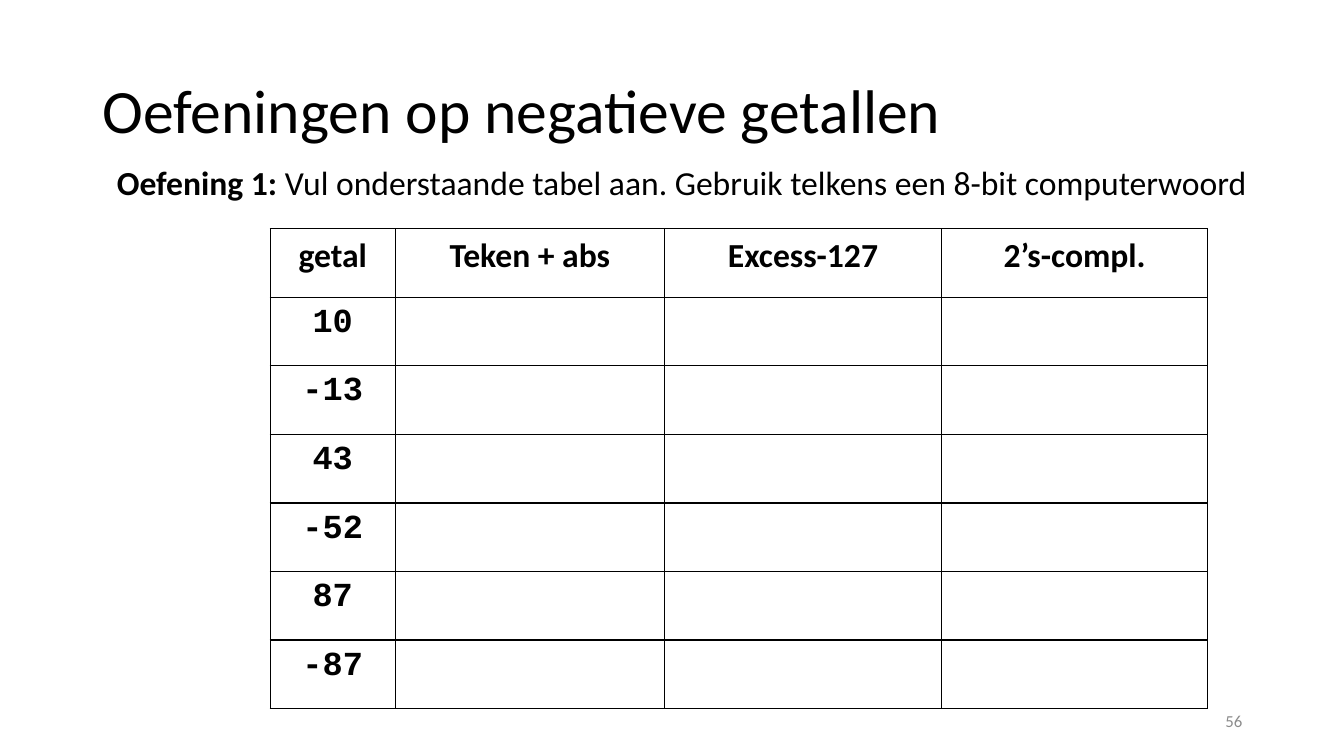
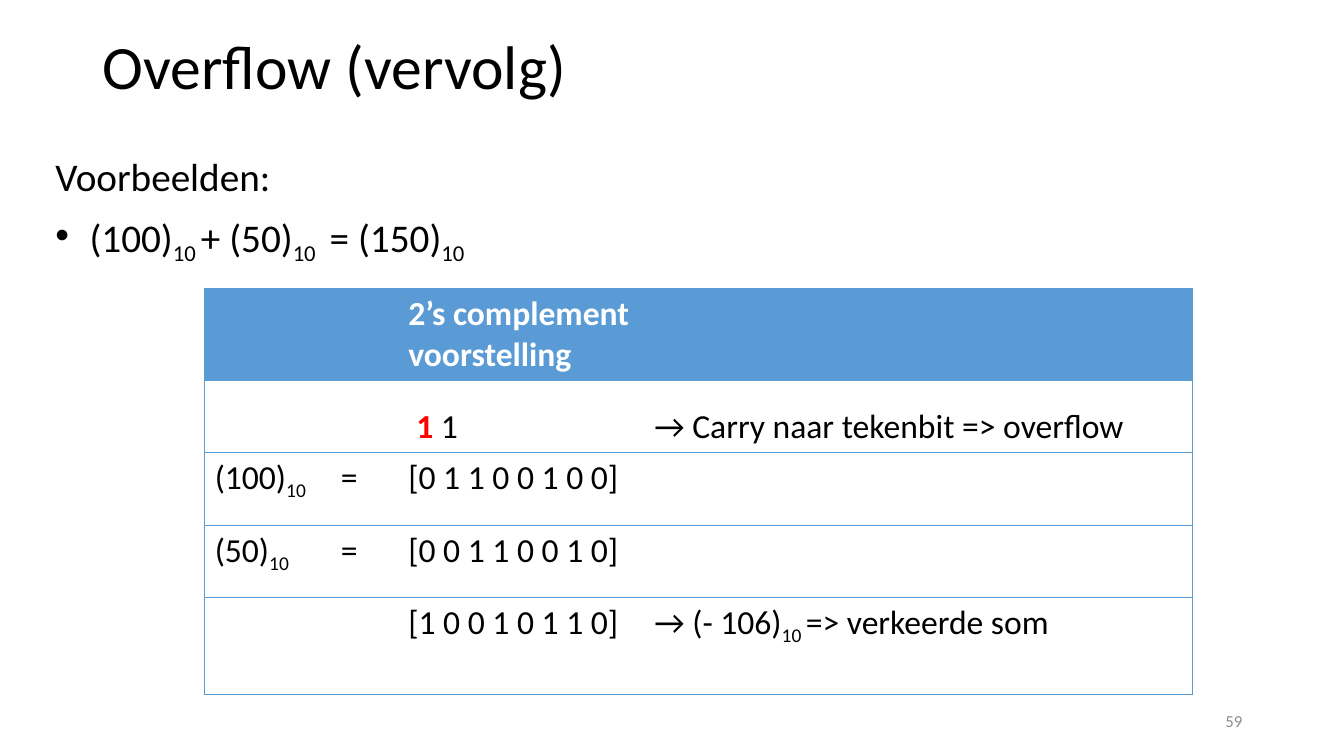
from lxml.etree import SubElement
from pptx import Presentation
from pptx.dml.color import RGBColor
from pptx.enum.text import MSO_ANCHOR as Anchor, PP_ALIGN as Align
from pptx.oxml.ns import qn
from pptx.util import Inches, Pt

COLORS = {
    "ink": "000000",
    "paper": "FFFFFF",
    "accent": "5B9BD5",
    "alert": "FF0000",
    "muted": "8C8C8C",
}
TITLE = {"size": Pt(44)}
BODY = {"size": Pt(28)}
CELL = {"size": Pt(24)}
HEADING = {"size": Pt(24), "bold": True}
NUMBER = {"size": Pt(24), "bold": True, "name": "Courier New"}
PAGE = {"size": Pt(12), "color": "muted"}
SUB = {"baseline": "-25000"}
TEN = ("10", SUB)
TEN_SPACED = ("10 ", SUB)
SIDES = {"left": "a:lnL", "right": "a:lnR", "top": "a:lnT", "bottom": "a:lnB"}


def set_all(target, values):
    for name, value in values.items():
        setattr(target, name, value)


def rgb(name):
    return RGBColor.from_string(COLORS[name])


def write(paragraph, pieces, look):
    for piece in pieces:
        text, extra = (piece, {}) if isinstance(piece, str) else piece
        style = {"name": "Calibri", "bold": False, "color": "ink", **look, **extra}
        run = paragraph.add_run()
        run.text = text
        run.font.color.rgb = rgb(style.pop("color"))
        baseline = style.pop("baseline", None)
        set_all(run.font, style)
        if baseline:
            run.font._element.set("baseline", baseline)


def add_bullet(paragraph, indent):
    properties = paragraph._p.get_or_add_pPr()
    properties.set("marL", str(Inches(indent)))
    properties.set("indent", str(-Inches(indent)))
    SubElement(properties, qn("a:buFont"), typeface="Arial")
    SubElement(properties, qn("a:buChar"), char="•")


def add_text(slide, place, lines, look, anchor=Anchor.TOP, **paragraph_format):
    frame = slide.shapes.add_textbox(*map(Inches, place)).text_frame
    set_all(frame, {"word_wrap": True, "vertical_anchor": anchor})
    for index, pieces in enumerate(lines):
        paragraph = frame.add_paragraph() if index else frame.paragraphs[0]
        set_all(paragraph, paragraph_format)
        if index:
            paragraph.space_before = Pt(10)
        write(paragraph, pieces, look)
    return frame


def add_slide(deck, title, title_top, page):
    slide = deck.slides.add_slide(deck.slide_layouts[6])
    add_text(slide, (0.92, title_top, 11.5, 1.45), [[title]], TITLE,
             Anchor.MIDDLE, line_spacing=0.9)
    add_text(slide, (9.42, 6.95, 3, 0.4), [[page]], PAGE,
             Anchor.MIDDLE, alignment=Align.RIGHT)
    return slide


def add_table(slide, left, top, widths, heights):
    table = slide.shapes.add_table(
        len(heights), len(widths), Inches(left), Inches(top),
        Inches(sum(widths)), Inches(sum(heights))).table
    set_all(table, {"first_row": False, "horz_banding": False})
    for column, width in zip(table.columns, widths):
        column.width = Inches(width)
    for row, height in zip(table.rows, heights):
        row.height = Inches(height)
    return table


def set_borders(cell, sides, color, points):
    properties = cell._tc.get_or_add_tcPr()
    for side, tag in SIDES.items():
        line = SubElement(properties, qn(tag), w=str(Pt(points)))
        if side in sides:
            fill = SubElement(line, qn("a:solidFill"))
            SubElement(fill, qn("a:srgbClr"), val=COLORS[color])
        else:
            SubElement(line, qn("a:noFill"))


def fill_cell(cell, pieces, look, fill=None, align=Align.LEFT, **cell_format):
    set_all(cell, cell_format)
    if fill:
        cell.fill.solid()
        cell.fill.fore_color.rgb = rgb(fill)
    else:
        cell.fill.background()
    paragraph = cell.text_frame.paragraphs[0]
    paragraph.alignment = align
    write(paragraph, pieces, look)


def add_exercise(deck):
    slide = add_slide(deck, "Oefeningen op negatieve getallen", 0.4, "56")
    task = [("Oefening 1: ", {"bold": True}),
            "Vul onderstaande tabel aan. Gebruik telkens een 8-bit computerwoord"]
    add_text(slide, (1.06, 1.6, 11.85, 0.55), [task], CELL, line_spacing=0.9)

    headings = ["getal", "Teken + abs", "Excess-127", "2’s-compl."]
    numbers = ["10", "-13", "43", "-52", "87", "-87"]
    rows = [headings] + [[number, "", "", ""] for number in numbers]
    margins = {"margin_left": Inches(0.13), "margin_right": Inches(0.13),
               "margin_top": Inches(0.07), "margin_bottom": Inches(0.07)}
    table = add_table(slide, 2.68, 2.27, [1.24, 2.67, 2.75, 2.64], [0.68] * len(rows))
    for r, row in enumerate(rows):
        for c, text in enumerate(row):
            cell = table.cell(r, c)
            set_borders(cell, SIDES, "ink", 1)
            fill_cell(cell, [text] if text else [], NUMBER if r else HEADING,
                      None if r else "paper", Align.CENTER, **margins)


def add_overflow(deck):
    slide = add_slide(deck, "Overflow (vervolg)", -0.04, "59")
    total = ["(100)", TEN_SPACED, "+ (50)", TEN_SPACED, " = (150)", TEN]
    examples = add_text(slide, (0.45, 1.51, 11.96, 1.3), [["Voorbeelden:"], total],
                        BODY, line_spacing=0.9)
    add_bullet(examples.paragraphs[1], 0.34)

    rows = [
        [[], [], ["2’s complement voorstelling"], []],
        [[], [], [("1", {"bold": True, "color": "alert"}), " 1"],
         ["→ Carry naar tekenbit => overflow"]],
        [["(100)", TEN], ["="], ["[0 1 1 0 0 1 0 0]"], []],
        [["(50)", TEN], ["="], ["[0 0 1 1 0 0 1 0]"], []],
        [[], [], ["[1 0 0 1 0 1 1 0]"],
         ["→ (- 106)", TEN_SPACED, "=> verkeerde som"]],
    ]
    table = add_table(slide, 2.03, 2.86, [1.25, 0.67, 2.44, 5.44],
                      [0.91, 0.72, 0.72, 0.72, 0.96])
    outer = {0: ["left"], 3: ["right"]}
    for r, row in enumerate(rows):
        for c, pieces in enumerate(row):
            cell = table.cell(r, c)
            set_borders(cell, ["top", "bottom"] + outer.get(c, []), "accent", 0.5)
            look = CELL if r else {**HEADING, "color": "paper"}
            fill_cell(cell, pieces, look, None if r else "accent",
                      vertical_anchor=Anchor.BOTTOM if r == 1 else Anchor.TOP)
    table.cell(1, 2).margin_left = Inches(0.18)


def main():
    deck = Presentation()
    set_all(deck, {"slide_width": Inches(13.33), "slide_height": Inches(7.5)})
    add_exercise(deck)
    add_overflow(deck)
    deck.save("out.pptx")


if __name__ == "__main__":
    main()
